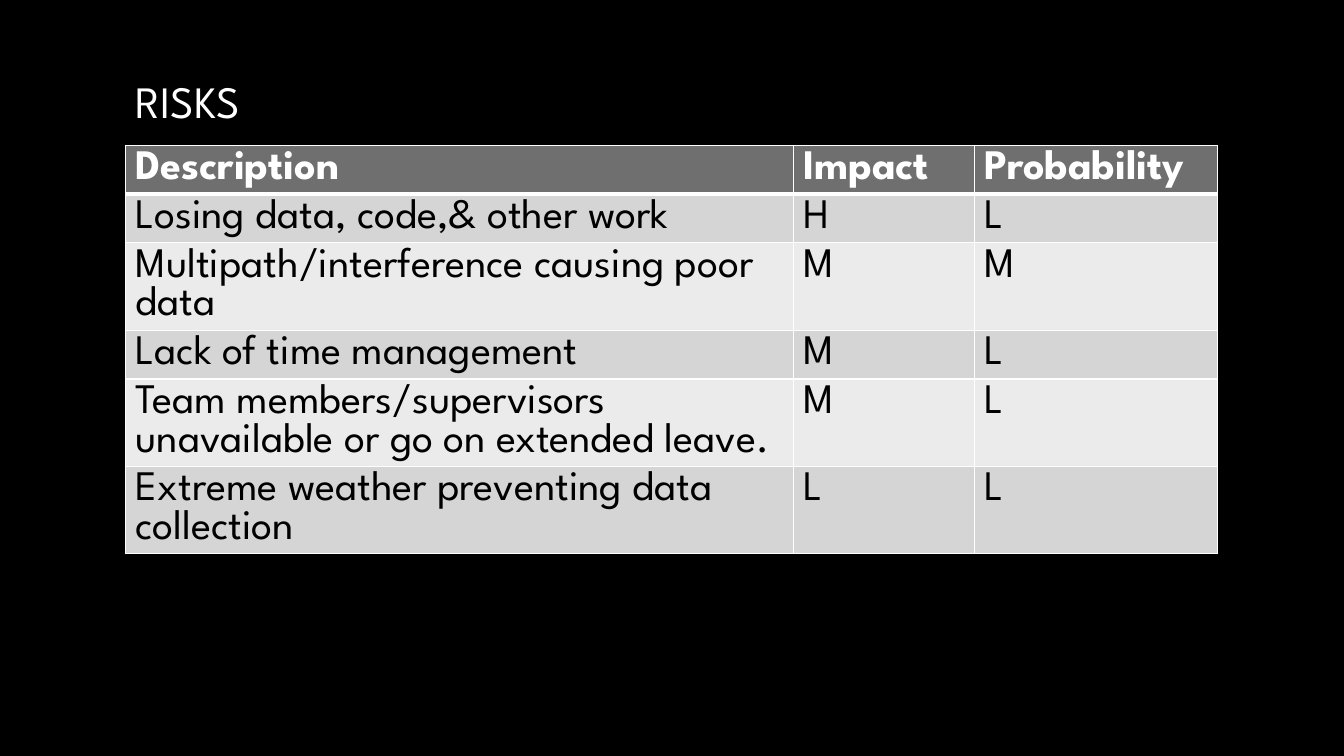
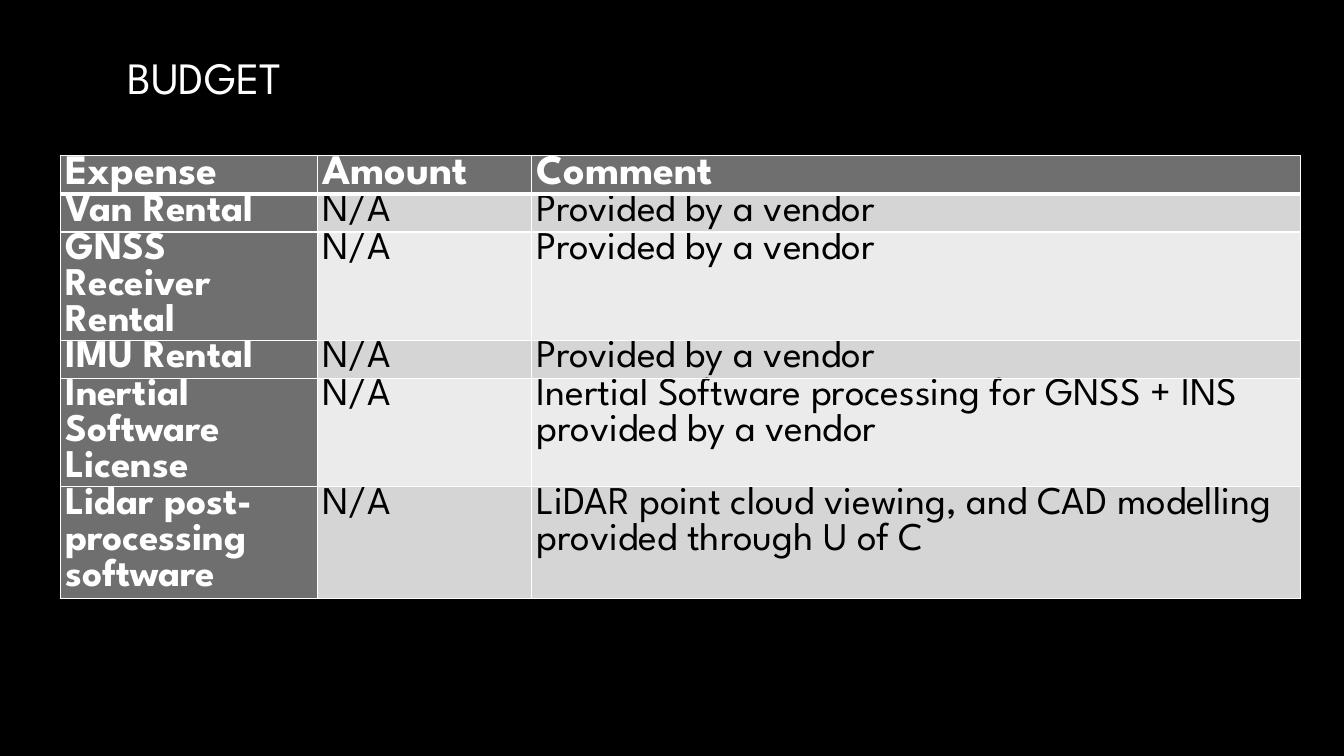
from dataclasses import dataclass

import lxml.etree
import pptx
import pptx.dml.color
import pptx.enum.text
import pptx.oxml.ns
import pptx.util

Pt = pptx.util.Pt
Align = pptx.enum.text.PP_ALIGN


@dataclass(frozen=True)
class Theme:
    font: str = "League Spartan"
    background: str = "000000"
    light: str = "FFFFFF"
    dark: str = "000000"
    header: str = "6F6F6F"
    bands: tuple = ("D5D5D5", "EBEBEB")
    title_size: int = 32
    header_size: int = 30
    line_height: float = 0.92
    thin_border: int = 1
    header_border: int = 3


def rgb(value):
    return pptx.dml.color.RGBColor.from_string(value)


class Deck:
    def __init__(self, theme):
        self.theme = theme
        self.presentation = pptx.Presentation()
        self.presentation.slide_width = Pt(960)
        self.presentation.slide_height = Pt(540)
        self.slide = None

    def add_slide(self):
        self.slide = self.presentation.slides.add_slide(self.presentation.slide_layouts[6])
        fill = self.slide.background.fill
        fill.solid()
        fill.fore_color.rgb = rgb(self.theme.background)

    def style(self, paragraph, size, color, bold=False):
        paragraph.line_spacing = Pt(size * self.theme.line_height)
        font = paragraph.font
        font.name = self.theme.font
        font.size = Pt(size)
        font.bold = bold
        font.color.rgb = rgb(color)

    def title(self, text, left, top, width, height):
        shape = self.slide.shapes.add_textbox(Pt(left), Pt(top), Pt(width), Pt(height))
        frame = shape.text_frame
        frame.word_wrap = True
        frame.vertical_anchor = pptx.enum.text.MSO_ANCHOR.MIDDLE
        frame.text = text
        self.style(frame.paragraphs[0], self.theme.title_size, self.theme.light)

    def border(self, cell, row):
        """Outline a cell, with a heavier line under the header row."""
        properties = cell._tc.get_or_add_tcPr()
        heavy_side = {0: "lnB", 1: "lnT"}.get(row)
        for side in ("lnL", "lnR", "lnT", "lnB"):
            width = self.theme.header_border if side == heavy_side else self.theme.thin_border
            line = lxml.etree.SubElement(properties, pptx.oxml.ns.qn(f"a:{side}"), w=str(Pt(width)))
            fill = lxml.etree.SubElement(line, pptx.oxml.ns.qn("a:solidFill"))
            lxml.etree.SubElement(fill, pptx.oxml.ns.qn("a:srgbClr"), val=self.theme.light)

    def table(self, rows, left, top, widths, heights, body_size,
              margins=(7.2, 3.6), header_column=False, justified_columns=()):
        """Add a banded table; the header row and justified columns are justified together."""
        theme = self.theme
        frame = self.slide.shapes.add_table(
            len(rows), len(widths), Pt(left), Pt(top), Pt(sum(widths)), Pt(sum(heights)))
        table = frame.table
        table.horz_banding = False
        table.first_col = header_column
        for column, width in zip(table.columns, widths):
            column.width = Pt(width)
        for row, height in zip(table.rows, heights):
            row.height = Pt(height)
        for r, texts in enumerate(rows):
            for c, text in enumerate(texts):
                cell = table.cell(r, c)
                is_header = r == 0 or (header_column and c == 0)
                cell.margin_left = cell.margin_right = Pt(margins[0])
                cell.margin_top = cell.margin_bottom = Pt(margins[1])
                self.border(cell, r)
                cell.fill.solid()
                cell.fill.fore_color.rgb = rgb(theme.header if is_header else theme.bands[(r - 1) % 2])
                cell.text = text
                paragraph = cell.text_frame.paragraphs[0]
                if justified_columns and (r == 0 or c in justified_columns):
                    paragraph.alignment = Align.JUSTIFY
                self.style(paragraph, theme.header_size if r == 0 else body_size,
                           theme.light if is_header else theme.dark, is_header)


def add_risks(deck):
    deck.add_slide()
    deck.title("RISKS", 90, 22.3, 780, 108)
    rows = [
        ("Description", "Impact", "Probability"),
        ("Losing data, code,& other work", "H", "L"),
        ("Multipath/interference causing poor data", "M", "M"),
        ("Lack of time management", "M", "L"),
        ("Team members/supervisors unavailable or go on extended leave.", "M", "L"),
        ("Extreme weather preventing data collection", "L", "L"),
    ]
    one_line, two_lines = 34.8, 62.4
    heights = [one_line, one_line, two_lines, one_line, two_lines, two_lines]
    deck.table(rows, 89.6, 103.7, [477, 129.6, 173.4], heights, body_size=30)


def add_budget(deck):
    deck.add_slide()
    deck.title("BUDGET", 84, -15.8, 780, 150)
    provided = "Provided by a vendor"
    rows = [
        ("Expense", "Amount", "Comment"),
        ("Van Rental", "N/A", provided),
        ("GNSS Receiver Rental", "N/A", provided),
        ("IMU Rental", "N/A", provided),
        ("Inertial Software License", "N/A",
         "Inertial Software processing for GNSS + INS provided by a vendor"),
        ("Lidar post-processing software", "N/A",
         "LiDAR point cloud viewing, and CAD modelling provided through U of C"),
    ]
    one_line, three_lines = 27.2, 77.3
    heights = [one_line, one_line, three_lines, one_line, three_lines, 80]
    deck.table(rows, 43.2, 110.9, [183.6, 153, 549], heights, body_size=28,
               margins=(3.6, 0), header_column=True, justified_columns=(1,))


def main():
    deck = Deck(Theme())
    add_risks(deck)
    add_budget(deck)
    deck.presentation.save("out.pptx")


if __name__ == "__main__":
    main()
